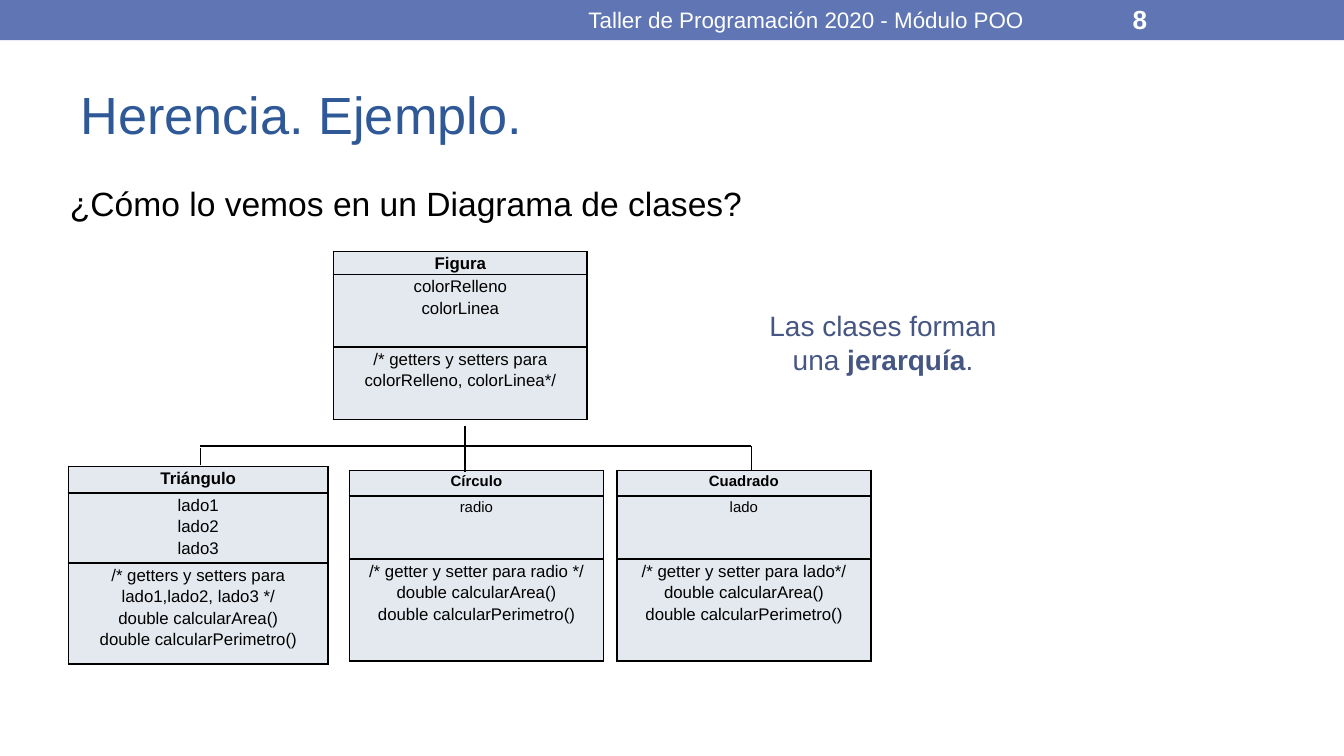
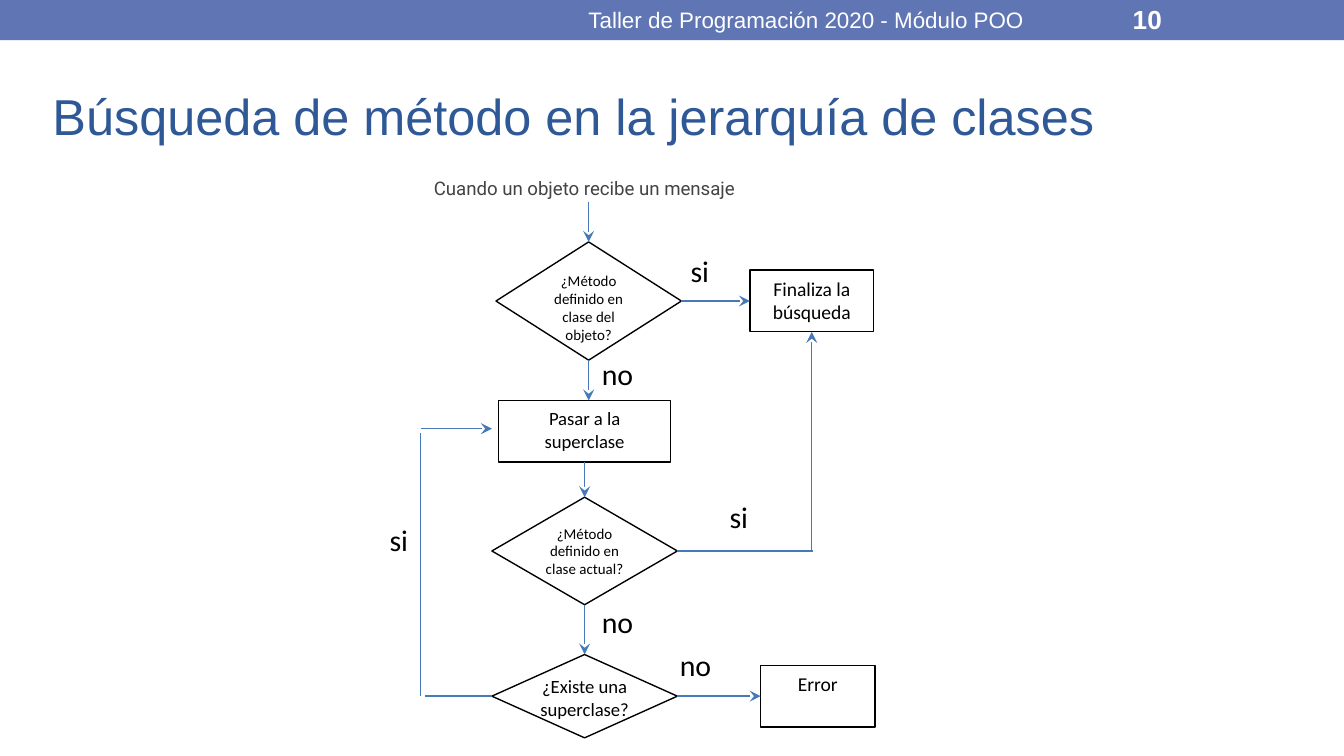
"""Build two slides on inheritance: a class diagram and a method lookup flowchart."""
from lxml import etree
from pptx import Presentation
from pptx.dml.color import RGBColor
from pptx.enum.shapes import MSO_CONNECTOR, MSO_SHAPE
from pptx.enum.text import MSO_ANCHOR, MSO_AUTO_SIZE, PP_ALIGN
from pptx.oxml.ns import qn
from pptx.util import Pt

PX = 9144
BAND = RGBColor(0x60, 0x76, 0xB4)
TITLE = RGBColor(0x2F, 0x58, 0x97)
REMARK = RGBColor(0x46, 0x56, 0x83)
INTRO = RGBColor(0x43, 0x43, 0x43)
ARROW = RGBColor(0x45, 0x79, 0xB8)
CELL = RGBColor(0xE4, 0xE9, 0xEF)
BLACK = RGBColor(0, 0, 0)
WHITE = RGBColor(0xFF, 0xFF, 0xFF)
LEFT, CENTER = PP_ALIGN.LEFT, PP_ALIGN.CENTER
TOP, MIDDLE = MSO_ANCHOR.TOP, MSO_ANCHOR.MIDDLE
NO_AUTOFIT = MSO_AUTO_SIZE.NONE
RECT, DIAMOND = MSO_SHAPE.RECTANGLE, MSO_SHAPE.DIAMOND
STRAIGHT = MSO_CONNECTOR.STRAIGHT


def format_text(frame, size, color, font="Arial", bold=False, align=LEFT, anchor=TOP):
    frame.word_wrap = True
    frame.vertical_anchor = anchor
    for paragraph in frame.paragraphs:
        paragraph.alignment = align
        for run in paragraph.runs:
            run.font.size = Pt(size)
            run.font.name = font
            run.font.bold = bold
            run.font.color.rgb = color


def draw_line(slide, start, end, color, arrow=False):
    line = slide.shapes.add_connector(STRAIGHT, *(v * PX for v in (*start, *end)))
    line.line.color.rgb = color
    line.line.width = Pt(0.75)
    if arrow:
        etree.SubElement(line.line._get_or_add_ln(), qn("a:tailEnd"), type="stealth")
    etree.SubElement(line._element.spPr, qn("a:effectLst"))
    return line


prs = Presentation()
prs.slide_width, prs.slide_height = 1000 * PX, 5143500

slides = []
for layout, number, heading, size, left, top in (
    (1, "8", "Herencia. Ejemplo.", 28, 50, 44),
    (5, "10", "Búsqueda de método en la jerarquía de clases", 27, 29, 45),
):
    slide = prs.slides.add_slide(prs.slide_layouts[layout])
    slides.append(slide)
    band = slide.shapes.add_shape(RECT, 0, 0, 1000 * PX, 30 * PX)
    band.shadow.inherit = False
    band.fill.solid()
    band.fill.fore_color.rgb = BAND
    band.line.fill.background()

    title = slide.shapes.title
    title.left, title.top, title.width, title.height = (
        v * PX for v in (left, top, 900, 81))
    title.text_frame.text = heading
    title.text_frame.auto_size = NO_AUTOFIT
    format_text(title.text_frame, size, TITLE, anchor=MIDDLE)

    for text, x, width, points, bold, align in (
        ("Taller de Programación 2020 - Módulo POO", 375, 450, 12, False, CENTER),
        (number, 833, 117, 14, True, LEFT),
    ):
        header = slide.shapes.add_textbox(x * PX, 1 * PX, width * PX, 27 * PX)
        header.text_frame.text = text
        format_text(header.text_frame, points, WHITE, bold=bold, align=align, anchor=MIDDLE)

diagram, flowchart = slides

question = diagram.placeholders[1]
question.left, question.top, question.width, question.height = (
    v * PX for v in (42, 131, 900, 400))
question.text_frame.text = "¿Cómo lo vemos en un Diagrama de clases?"
question.text_frame.auto_size = NO_AUTOFIT
format_text(question.text_frame, 18, BLACK)
question_pPr = question.text_frame.paragraphs[0]._p.get_or_add_pPr()
question_pPr.set("marL", "0")
question_pPr.set("indent", "0")
etree.SubElement(question_pPr, qn("a:buNone"))

remark = diagram.shapes.add_textbox(548 * PX, 225 * PX, 218 * PX, 66 * PX)
remark.text_frame.text = "Las clases forman una "
sentence = remark.text_frame.paragraphs[0]
for words in ("jerarquía", "."):
    sentence.add_run().text = words
format_text(remark.text_frame, 15, REMARK, align=CENTER)
sentence.runs[1].font.bold = True

CALCULATIONS = "\ndouble calcularArea()\ndouble calcularPerimetro()"
for x, y, width, heights, sizes, compartments in (
    (248, 187, 189, (16, 54, 54), (9, 9, 9),
     ("Figura", "colorRelleno\ncolorLinea",
      "/* getters y setters para\ncolorRelleno, colorLinea*/")),
    (260, 350, 189, (19, 47, 76), (8, 8, 9),
     ("Círculo", "radio", "/* getter y setter para radio */" + CALCULATIONS)),
    (51, 347, 193, (20, 49, 75), (9, 9, 9),
     ("Triángulo", "lado1\nlado2\nlado3",
      "/* getters y setters para lado1,lado2, lado3 */" + CALCULATIONS)),
    (459, 350, 189, (19, 47, 76), (8, 8, 9),
     ("Cuadrado", "lado", "/* getter y setter para lado*/" + CALCULATIONS)),
):
    class_table = diagram.shapes.add_table(
        3, 1, x * PX, y * PX, width * PX, sum(heights) * PX).table
    class_table.first_row = False
    class_table.horz_banding = False
    for row, (height, size, text) in enumerate(zip(heights, sizes, compartments)):
        class_table.rows[row].height = height * PX
        cell = class_table.cell(row, 0)
        cell.text_frame.text = text
        cell.margin_left = cell.margin_right = 7 * PX
        cell.margin_top = cell.margin_bottom = 0
        format_text(cell.text_frame, size, BLACK, bold=row == 0, align=CENTER)
        for paragraph in cell.text_frame.paragraphs:
            paragraph.line_spacing = 1.15
        tcPr = cell._tc.get_or_add_tcPr()
        for side in ("a:lnL", "a:lnR", "a:lnT", "a:lnB"):
            border = etree.SubElement(tcPr, qn(side), w="12700")
            border_fill = etree.SubElement(border, qn("a:solidFill"))
            etree.SubElement(border_fill, qn("a:srgbClr"), val=str(BLACK))
        cell.fill.solid()
        cell.fill.fore_color.rgb = CELL

for start, end in (
    ((149, 332), (559, 332)),
    ((346, 317), (346, 335)),
    ((149, 333), (149, 346)),
    ((346, 334), (346, 351)),
    ((559, 332), (559, 350)),
):
    draw_line(diagram, start, end, BLACK)

steps = []
for outline, x, y, width, height, size, text in (
    (DIAMOND, 369, 180, 138, 88, 8, "¿Método definido en clase del objeto?"),
    (RECT, 558, 201, 92, 46, 10.5, "Finaliza la búsqueda"),
    (RECT, 371, 298, 128, 46, 10, "Pasar a la superclase"),
    (DIAMOND, 366, 370, 138, 80, 8, "¿Método definido en clase actual?"),
    (DIAMOND, 366, 487, 138, 62, 10, "¿Existe una superclase?"),
    (RECT, 566, 495, 85, 46, 10.5, "Error"),
):
    step = flowchart.shapes.add_shape(outline, x * PX, y * PX, width * PX, height * PX)
    step.shadow.inherit = False
    step.fill.solid()
    step.fill.fore_color.rgb = WHITE
    step.line.color.rgb = BLACK
    step.line.width = Pt(0.75)
    frame = step.text_frame
    frame.text = text
    if outline == DIAMOND:
        frame.margin_left = frame.margin_right = frame.margin_top = frame.margin_bottom = 0
    format_text(frame, size, BLACK, "Calibri", align=CENTER)
    steps.append(step)
in_object, finish, go_up, in_current, has_parent, error = steps

for start, end, arrow, source, target in (
    ((438, 150), (438, 180), True, None, (in_object, 0)),
    ((438, 268), (438, 298), True, (in_object, 2), None),
    ((507, 224), (558, 224), True, (in_object, 3), (finish, 1)),
    ((435, 344), (435, 370), True, (go_up, 2), (in_current, 0)),
    ((504, 410), (605, 410), False, (in_current, 3), None),
    ((604, 410), (604, 247), True, None, (finish, 2)),
    ((435, 450), (435, 487), True, (in_current, 2), (has_parent, 0)),
    ((504, 518), (566, 518), True, (has_parent, 3), (error, 1)),
    ((366, 518), (316, 518), False, (has_parent, 1), None),
    ((313, 518), (313, 322), False, None, None),
    ((313, 319), (366, 319), True, None, None),
):
    flow = draw_line(flowchart, start, end, ARROW, arrow)
    if source:
        flow.begin_connect(*source)
    if target:
        flow.end_connect(*target)

for text, x, y, width, height in (
    ("si", 504, 183, 46, 39),
    ("no", 438, 260, 62, 33),
    ("si", 533, 366, 46, 33),
    ("no", 438, 444, 62, 43),
    ("si", 280, 383, 49, 43),
    ("no", 496, 476, 52, 33),
):
    answer = flowchart.shapes.add_textbox(x * PX, y * PX, width * PX, height * PX)
    answer.text_frame.text = text
    format_text(answer.text_frame, 16, BLACK, "Calibri")

intro = flowchart.shapes.add_textbox(313 * PX, 123 * PX, 281 * PX, 31 * PX)
intro.text_frame.text = "Cuando un objeto recibe un mensaje"
intro.text_frame.margin_top = intro.text_frame.margin_bottom = 10 * PX
format_text(intro.text_frame, 10, INTRO, "Roboto")

prs.save("out.pptx")
